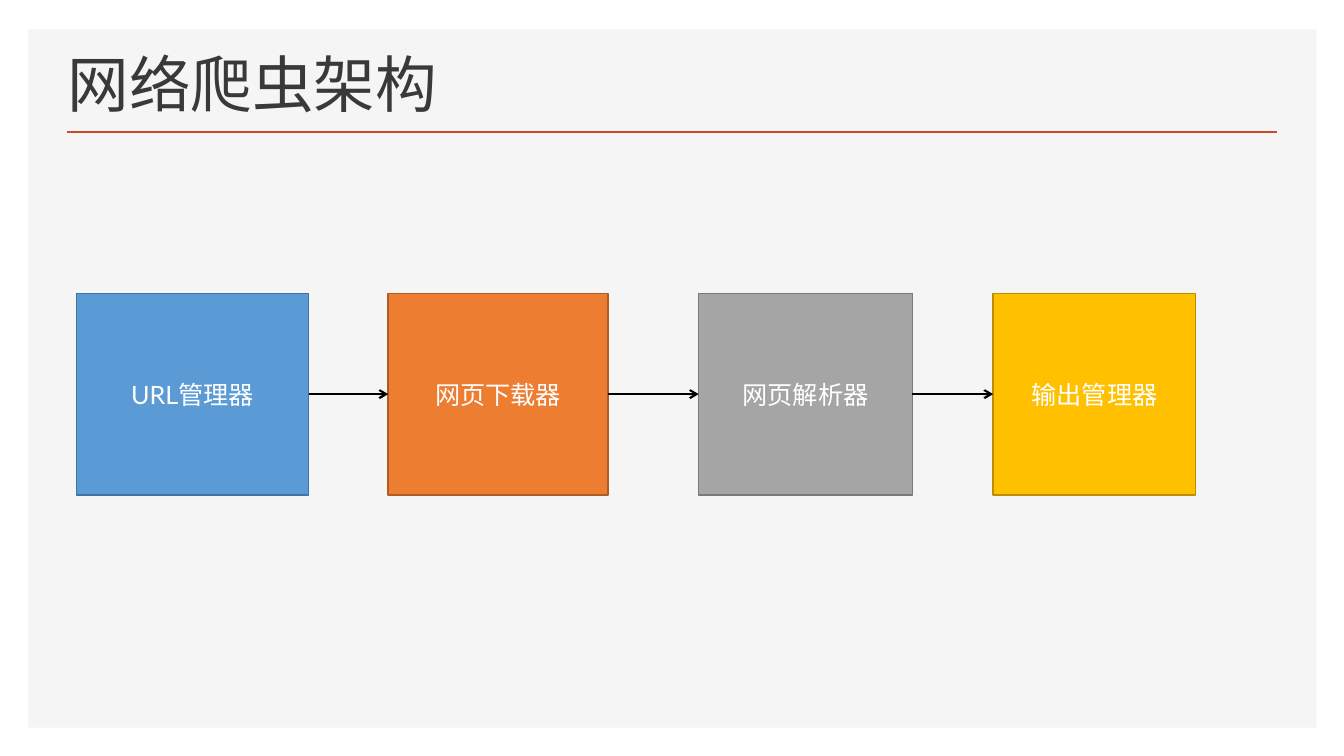
from lxml import etree
from pptx import Presentation
from pptx import util as u
from pptx.dml.color import RGBColor
from pptx.enum import shapes, text
from pptx.oxml import ns

CJK_FONT = "Noto Sans CJK SC"
RIGHT_SIDE, LEFT_SIDE = 3, 1


def color(hex_value):
    return RGBColor.from_string(hex_value)


def apply_format(target, values):
    for name, value in values.items():
        setattr(target, name, value)


class Diagram:
    title_style = {"name": CJK_FONT, "size": u.Pt(44)}
    label_style = {"name": "Lato", "size": u.Pt(18)}

    def __init__(self, slide):
        self.shapes = slide.shapes

    def add_wording(self, frame, wording, style, ink, align, frame_style):
        apply_format(frame, {"word_wrap": True, **frame_style})
        paragraph = frame.paragraphs[0]
        paragraph.alignment = align
        run = paragraph.add_run()
        run.text = wording
        apply_format(run.font, style)
        run.font.color.rgb = color(ink)
        east_asian = etree.SubElement(run.font._element, ns.qn("a:ea"))
        east_asian.set("typeface", CJK_FONT)

    def title(self, wording, left, top, width, height):
        box = self.shapes.add_textbox(*map(u.Inches, (left, top, width, height)))
        self.add_wording(box.text_frame, wording, self.title_style, "3B3838",
                         text.PP_ALIGN.LEFT,
                         {"vertical_anchor": text.MSO_ANCHOR.BOTTOM, "margin_bottom": 0})

    def rectangle(self, left, top, width, height, fill, outline=None):
        rect = self.shapes.add_shape(shapes.MSO_SHAPE.RECTANGLE,
                                     *map(u.Inches, (left, top, width, height)))
        rect.shadow.inherit = False
        rect.fill.solid()
        rect.fill.fore_color.rgb = color(fill)
        if outline:
            rect.line.color.rgb = color(outline)
            rect.line.width = u.Pt(1)
        else:
            rect.line.fill.background()
        return rect

    def module(self, label, left, top, width, height, fill, outline):
        rect = self.rectangle(left, top, width, height, fill, outline)
        self.add_wording(rect.text_frame, label, self.label_style, "FFFFFF",
                         text.PP_ALIGN.CENTER,
                         {"vertical_anchor": text.MSO_ANCHOR.MIDDLE})
        return rect

    def line(self, x1, y1, x2, y2, ink, width):
        rule = self.shapes.add_connector(shapes.MSO_CONNECTOR.STRAIGHT,
                                         *map(u.Inches, (x1, y1, x2, y2)))
        rule.line.color.rgb = color(ink)
        rule.line.width = u.Pt(width)
        etree.SubElement(rule._element.spPr, ns.qn("a:effectLst"))
        return rule

    def arrow(self, source, target):
        """Join the right side of source to the left side of target."""
        link = self.line(0, 0, 1, 0, "000000", 1.5)
        link.begin_connect(source, RIGHT_SIDE)
        link.end_connect(target, LEFT_SIDE)
        outline = link._element.spPr.find(ns.qn("a:ln"))
        etree.SubElement(outline, ns.qn("a:tailEnd"), type="arrow")


MODULE_TOP, MODULE_HEIGHT = 2.91, 2
MODULES = [
    ("URL管理器", 0.76, 2.3, "5B9BD5", "43739E"),
    ("网页下载器", 3.85, 2.18, "ED7D31", "AF5C24"),
    ("网页解析器", 6.93, 2.12, "A5A5A5", "7A7A7A"),
    ("输出管理器", 9.85, 2.01, "FFC000", "BD8E00"),
]


def main():
    deck = Presentation()
    apply_format(deck, {"slide_width": u.Inches(13.33), "slide_height": u.Inches(7.5)})
    diagram = Diagram(deck.slides.add_slide(deck.slide_layouts[6]))

    diagram.rectangle(0.28, 0.29, 12.78, 6.93, "F5F5F5")
    diagram.line(0.66, 1.31, 12.67, 1.31, "D24726", 2)
    diagram.title("网络爬虫架构", 0.57, 0.49, 9.59, 0.7)

    pipeline = [
        diagram.module(label, left, MODULE_TOP, width, MODULE_HEIGHT, fill, outline)
        for label, left, width, fill, outline in MODULES
    ]
    for source, target in zip(pipeline, pipeline[1:]):
        diagram.arrow(source, target)

    deck.save("out.pptx")


if __name__ == "__main__":
    main()
